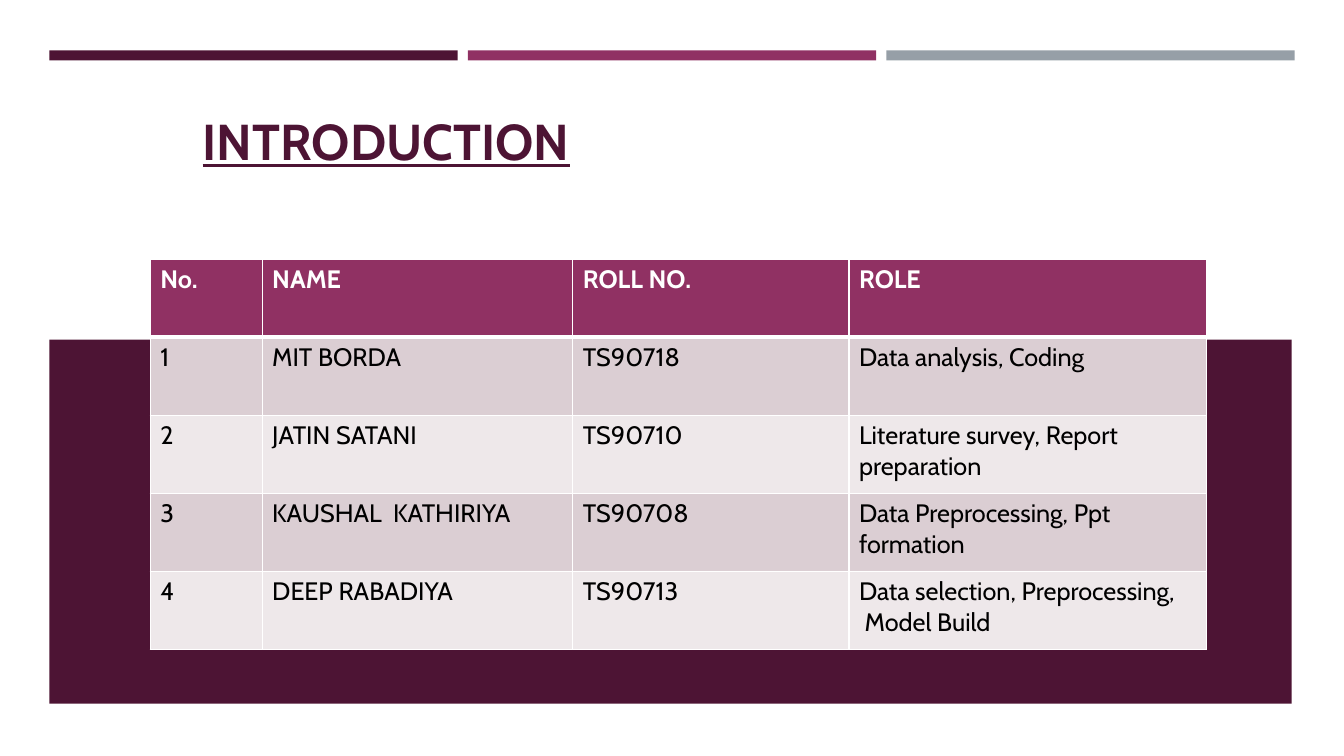
from lxml.etree import SubElement
from pptx import Presentation
from pptx.dml.color import RGBColor
from pptx.enum.shapes import MSO_SHAPE
from pptx.enum.text import MSO_ANCHOR, MSO_AUTO_SIZE, PP_ALIGN
from pptx.oxml.ns import qn
from pptx.util import Inches, Pt

PLUM, ROSE, GREY = "4D1434", "903163", "969FA7"
WHITE, BLACK = "FFFFFF", "000000"
BANDS = ["DBCED3", "EEE8EA"]

WIDTHS = [1.11, 3.08, 2.74, 3.55]
ROWS = [
    ["No.", "NAME", "ROLL NO.", "ROLE"],
    ["1", "MIT BORDA", "TS90718", "Data analysis, Coding"],
    ["2", "JATIN SATANI", "TS90710", "Literature survey, Report preparation"],
    ["3", "KAUSHAL  KATHIRIYA", "TS90708", "Data Preprocessing, Ppt formation"],
    ["4", "DEEP RABADIYA", "TS90713",
     "Data selection, Preprocessing,\n Model Build"],
]


def paint(color, value):
    color.rgb = RGBColor.from_string(value)


class Deck:
    face = "Cabin"

    def __init__(self, slide):
        self.slide = slide

    def style(self, frame, size, color, bold):
        for para in frame.paragraphs:
            para.alignment = PP_ALIGN.LEFT
            font = para.font
            font.name, font.size, font.bold = self.face, Pt(size), bold
            paint(font.color, color)

    def block(self, left, top, width, height, color):
        shape = self.slide.shapes.add_shape(
            MSO_SHAPE.RECTANGLE, *map(Inches, (left, top, width, height)))
        shape.shadow.inherit = False
        shape.fill.solid()
        paint(shape.fill.fore_color, color)
        shape.line.fill.background()

    def title(self, text, left, top, width, height):
        shape = self.slide.shapes.title
        shape.left, shape.top = Inches(left), Inches(top)
        shape.width, shape.height = Inches(width), Inches(height)
        frame = shape.text_frame
        frame.text = text
        frame.auto_size = MSO_AUTO_SIZE.NONE
        frame.vertical_anchor = MSO_ANCHOR.BOTTOM
        self.style(frame, 36, PLUM, True)
        frame.paragraphs[0].font.underline = True

    def border(self, cell, side, width):
        props = cell._tc.get_or_add_tcPr()
        line = SubElement(props, qn("a:ln" + side), w=str(Pt(width)))
        fill = SubElement(line, qn("a:solidFill"))
        SubElement(fill, qn("a:srgbClr"), val=WHITE)

    def cell(self, cell, text, row):
        cell.text = text
        head = row == 0
        self.style(cell.text_frame, 18, WHITE if head else BLACK, head)
        # The rule under the header is thicker than the rest
        thick = {(0, "B"), (1, "T")}
        for side in "LRTB":
            self.border(cell, side, 3 if (row, side) in thick else 1)
        cell.fill.solid()
        paint(cell.fill.fore_color, ROSE if head else BANDS[(row - 1) % 2])

    def table(self, rows, widths, left, top, high):
        table = self.slide.shapes.add_table(
            len(rows), len(widths), Inches(left), Inches(top),
            Inches(sum(widths)), Inches(high * len(rows))).table
        for column, width in zip(table.columns, widths):
            column.width = Inches(width)
        for i, texts in enumerate(rows):
            table.rows[i].height = Inches(high)
            for j, text in enumerate(texts):
                self.cell(table.cell(i, j), text, i)


def main():
    show = Presentation()
    show.slide_width, show.slide_height = Inches(13.33), Inches(7.5)
    deck = Deck(show.slides.add_slide(show.slide_layouts[5]))

    # Top bars and lower panel
    for i, color in enumerate([PLUM, ROSE, GREY]):
        deck.block(0.49 + 4.15 * i, 0.5, 4.05, 0.1, color)
    deck.block(0.49, 3.37, 12.32, 3.61, PLUM)

    # Title and team table
    deck.title("INTRODUCTION", 1.91, 0.67, 9.49, 1.07)
    deck.table(ROWS, WIDTHS, 1.49, 2.57, 0.775)

    show.save("out.pptx")


if __name__ == "__main__":
    main()
